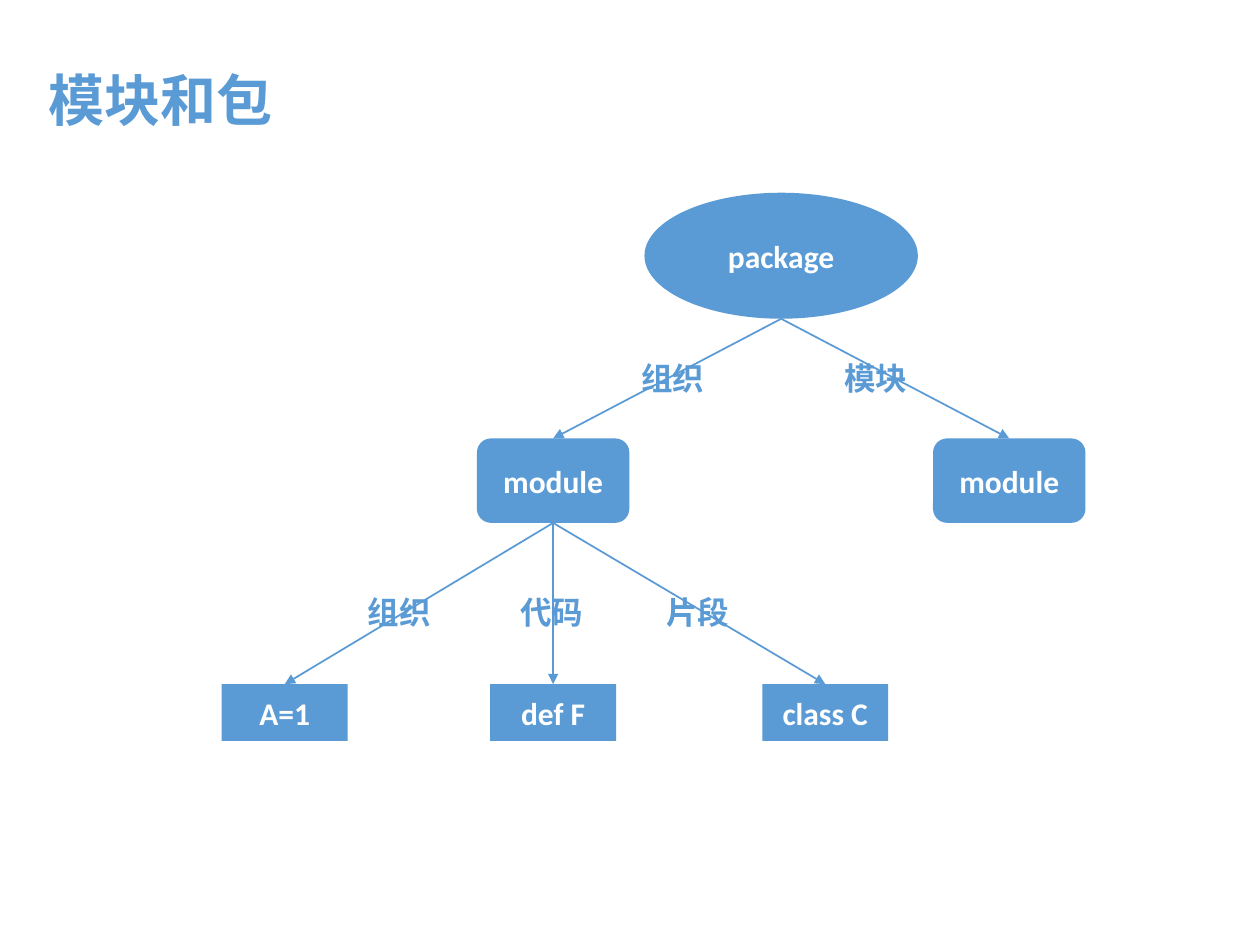
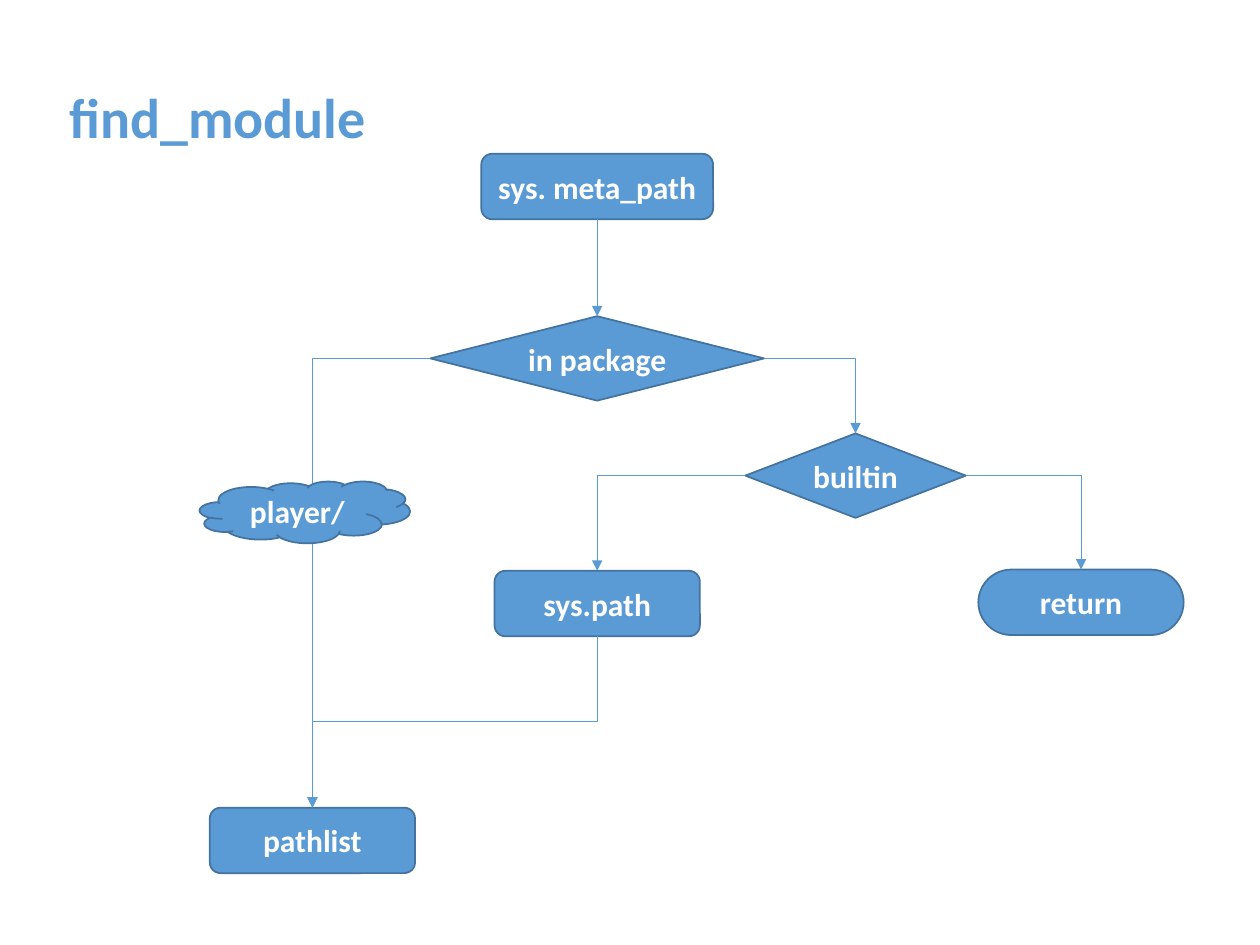
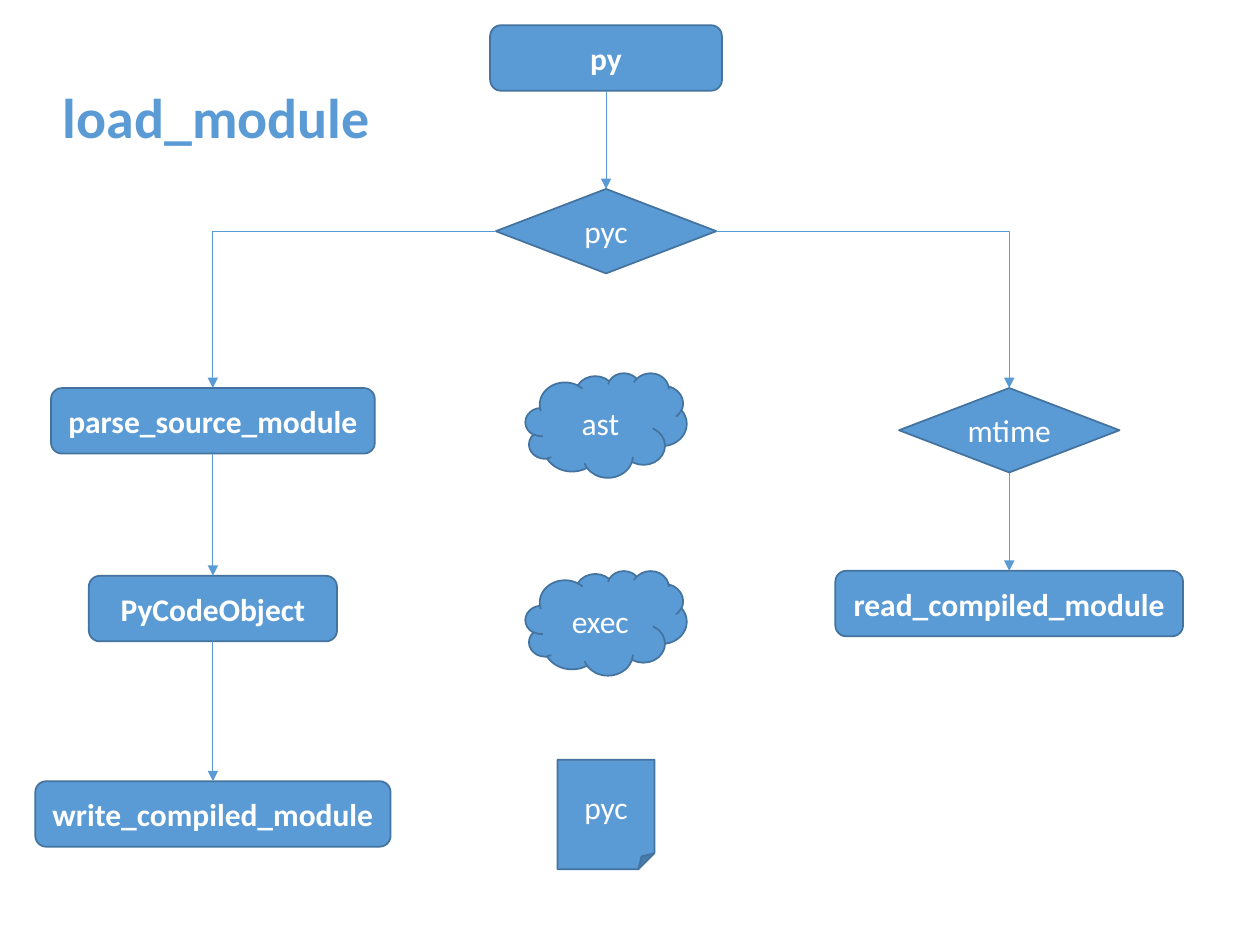
from dataclasses import dataclass

from lxml import etree
from pptx import Presentation
from pptx import util as u
from pptx.dml.color import RGBColor
from pptx.enum import shapes, text
from pptx.oxml.ns import qn

SHAPE, CONNECTOR = shapes.MSO_SHAPE, shapes.MSO_CONNECTOR
TOP, LEFT, BOTTOM, RIGHT = range(4)


@dataclass(frozen=True)
class Theme:
    font: str = "Calibri"
    blue: RGBColor = RGBColor(0x5B, 0x9B, 0xD5)
    outline: RGBColor = RGBColor(0x43, 0x73, 0x9E)
    white: RGBColor = RGBColor(0xFF, 0xFF, 0xFF)
    title_size: int = 32
    body_size: int = 18
    title_height: float = 0.64
    label_box: tuple = (0.71, 0.4)


THEME = Theme()

# kind: (preset, default width, height), in inches
KINDS = {
    "package": (SHAPE.OVAL, 2.17, 1),
    "module": (SHAPE.ROUNDED_RECTANGLE, 1.21, 0.67),
    "code": (SHAPE.RECTANGLE, 1, 0.45),
    "step": (SHAPE.FLOWCHART_ALTERNATE_PROCESS, 1.63, 0.52),
    "test": (SHAPE.FLOWCHART_DECISION, 1.75, 0.67),
    "end": (SHAPE.FLOWCHART_TERMINATOR, 1.63, 0.52),
    "cloud": (SHAPE.CLOUD, 1.28, 0.83),
    "file": (SHAPE.FOLDED_CORNER, 0.77, 0.87),
}

# Nodes: key: (text, kind, centre x, top, options).
# Links: (from, side, to, side, route); "drop" leaves downwards and turns twice.
# Extras are nodes without links, laid over the lines.
SLIDES = [
    {
        "title": ("模块和包", 0.29, 0.47, 2),
        "line_width": 1,
        "outlined": False,
        "nodes": {
            "package": ("package", "package", 6.2, 1.53, {}),
            "left module": ("module", "module", 4.39, 3.48, {}),
            "right module": ("module", "module", 8.01, 3.48, {}),
            "value": ("A=1", "code", 2.26, 5.43, {}),
            "function": ("def F", "code", 4.39, 5.43, {}),
            "class": ("class C", "code", 6.55, 5.43, {}),
        },
        "links": [("left module", BOTTOM, part, TOP, "straight")
                  for part in ("value", "function", "class")]
                 + [("package", BOTTOM, part, TOP, "straight")
                    for part in ("left module", "right module")],
        "labels": [("组织", 2.82, 4.66), ("代码", 4.03, 4.66), ("片段", 5.19, 4.66),
                   ("组织", 4.99, 2.8), ("模块", 6.6, 2.8)],
        "extras": [],
    },
    {
        "title": ("find_module", 0.45, 0.61, 2.58),
        "line_width": 0.5,
        "outlined": True,
        "nodes": {
            "meta": ("sys. meta_path", "step", 4.74, 1.22, {"width": 1.84}),
            "in package": ("in package", "test", 4.74, 2.51, {"width": 2.65}),
            "builtin": ("builtin", "test", 6.79, 3.44, {}),
            "return": ("return", "end", 8.58, 4.52, {}),
            "sys.path": ("sys.path", "step", 4.74, 4.53, {}),
            "pathlist": ("pathlist", "step", 2.48, 6.41, {}),
        },
        "links": [
            ("meta", BOTTOM, "in package", TOP, "straight"),
            ("in package", LEFT, "pathlist", TOP, "corner"),
            ("in package", RIGHT, "builtin", TOP, "corner"),
            ("builtin", LEFT, "sys.path", TOP, "corner"),
            ("builtin", RIGHT, "return", TOP, "corner"),
            ("sys.path", BOTTOM, "pathlist", TOP, "drop"),
        ],
        "labels": [],
        "extras": [("player/", "cloud", 2.42, 3.82, {"width": 1.67, "height": 0.49})],
    },
    {
        "title": ("load_module", 0.4, 0.61, 2.66),
        "line_width": 0.5,
        "outlined": True,
        "nodes": {
            "py": ("py", "step", 4.81, 0.2, {"width": 1.84}),
            "pyc": ("pyc", "test", 4.81, 1.5, {"bold": False}),
            "mtime": ("mtime", "test", 8.01, 3.08, {"bold": False}),
            "read": ("read_compiled_module", "step", 8.01, 4.53, {"width": 2.76}),
            "parse": ("parse_source_module", "step", 1.69, 3.08, {"width": 2.57}),
            "code": ("PyCodeObject", "step", 1.69, 4.57, {"width": 1.97}),
            "write": ("write_compiled_module", "step", 1.69, 6.2, {"width": 2.82}),
        },
        "links": [
            ("py", BOTTOM, "pyc", TOP, "straight"),
            ("pyc", LEFT, "parse", TOP, "corner"),
            ("pyc", RIGHT, "mtime", TOP, "corner"),
            ("mtime", BOTTOM, "read", TOP, "straight"),
            ("parse", BOTTOM, "code", TOP, "straight"),
            ("code", BOTTOM, "write", TOP, "straight"),
        ],
        "labels": [],
        "extras": [("ast", "cloud", 4.81, 2.96, {"bold": False}),
                   ("exec", "cloud", 4.81, 4.53, {"bold": False}),
                   ("pyc", "file", 4.81, 6.03, {"bold": False})],
    },
]


def write(frame, words, size, color, bold=True, align=None):
    paragraph = frame.paragraphs[0]
    paragraph.alignment = align
    run = paragraph.add_run()
    run.text = words
    run.font.name, run.font.size, run.font.bold = THEME.font, u.Pt(size), bold
    run.font.color.rgb = color


def add_words(slide, words, left, top, width, height, size):
    """Blue text on one line, in a box that grows with it."""
    box = slide.shapes.add_textbox(*map(u.Inches, (left, top, width, height)))
    box.text_frame.word_wrap = False
    box.text_frame.auto_size = text.MSO_AUTO_SIZE.SHAPE_TO_FIT_TEXT
    write(box.text_frame, words, size, THEME.blue)


def add_node(slide, outlined, words, kind, centre, top, options):
    preset, width, height = KINDS[kind]
    width, height = options.get("width", width), options.get("height", height)
    node = slide.shapes.add_shape(
        preset, *map(u.Inches, (centre - width / 2, top, width, height)))
    node.shadow.inherit = False
    node.fill.solid()
    node.fill.fore_color.rgb = THEME.blue
    if outlined:
        node.line.color.rgb = THEME.outline
        node.line.width = u.Pt(1)
    else:
        node.line.fill.background()
    node.text_frame.vertical_anchor = text.MSO_ANCHOR.MIDDLE
    write(node.text_frame, words, THEME.body_size, THEME.white,
          options.get("bold", True), text.PP_ALIGN.CENTER)
    return node


def side_point(node, side):
    across, down = {TOP: (0.5, 0), LEFT: (0, 0.5), BOTTOM: (0.5, 1), RIGHT: (1, 0.5)}[side]
    return int(node.left + across * node.width), int(node.top + down * node.height)


def turn_downwards(link):
    """Rotate an elbow a quarter turn so that it leaves and arrives vertically."""
    left, top, width, height = link.left, link.top, link.width, link.height
    link.left, link.top = left + (width - height) // 2, top + (height - width) // 2
    link.width, link.height = height, width
    frame = link._element.spPr.find(qn("a:xfrm"))
    frame.attrib.pop("flipH", None)
    frame.set("rot", str(90 * 60000))


def add_link(slide, line_width, start, start_side, end, end_side, route):
    kind = CONNECTOR.STRAIGHT if route == "straight" else CONNECTOR.ELBOW
    link = slide.shapes.add_connector(
        kind, *side_point(start, start_side), *side_point(end, end_side))
    if start.auto_shape_type != SHAPE.OVAL:  # an oval numbers its sides differently
        link.begin_connect(start, start_side)
    link.end_connect(end, end_side)
    properties = link._element.spPr
    if route == "corner":
        properties.find(qn("a:prstGeom")).set("prst", "bentConnector2")
    elif route == "drop":
        turn_downwards(link)
    link.line.color.rgb = THEME.blue
    link.line.width = u.Pt(line_width)
    etree.SubElement(properties.find(qn("a:ln")), qn("a:tailEnd"), type="triangle")
    etree.SubElement(properties, qn("a:effectLst"))


def build_slide(deck, content):
    slide = deck.slides.add_slide(deck.slide_layouts[6])
    add_words(slide, *content["title"], THEME.title_height, THEME.title_size)
    nodes = {key: add_node(slide, content["outlined"], *node)
             for key, node in content["nodes"].items()}
    for start, start_side, end, end_side, route in content["links"]:
        add_link(slide, content["line_width"],
                 nodes[start], start_side, nodes[end], end_side, route)
    for label in content["labels"]:
        add_words(slide, *label, *THEME.label_box, THEME.body_size)
    for extra in content["extras"]:
        add_node(slide, content["outlined"], *extra)


def main():
    deck = Presentation()
    deck.slide_width, deck.slide_height = u.Inches(10), u.Inches(7.5)
    for content in SLIDES:
        build_slide(deck, content)
    deck.save("out.pptx")


if __name__ == "__main__":
    main()
